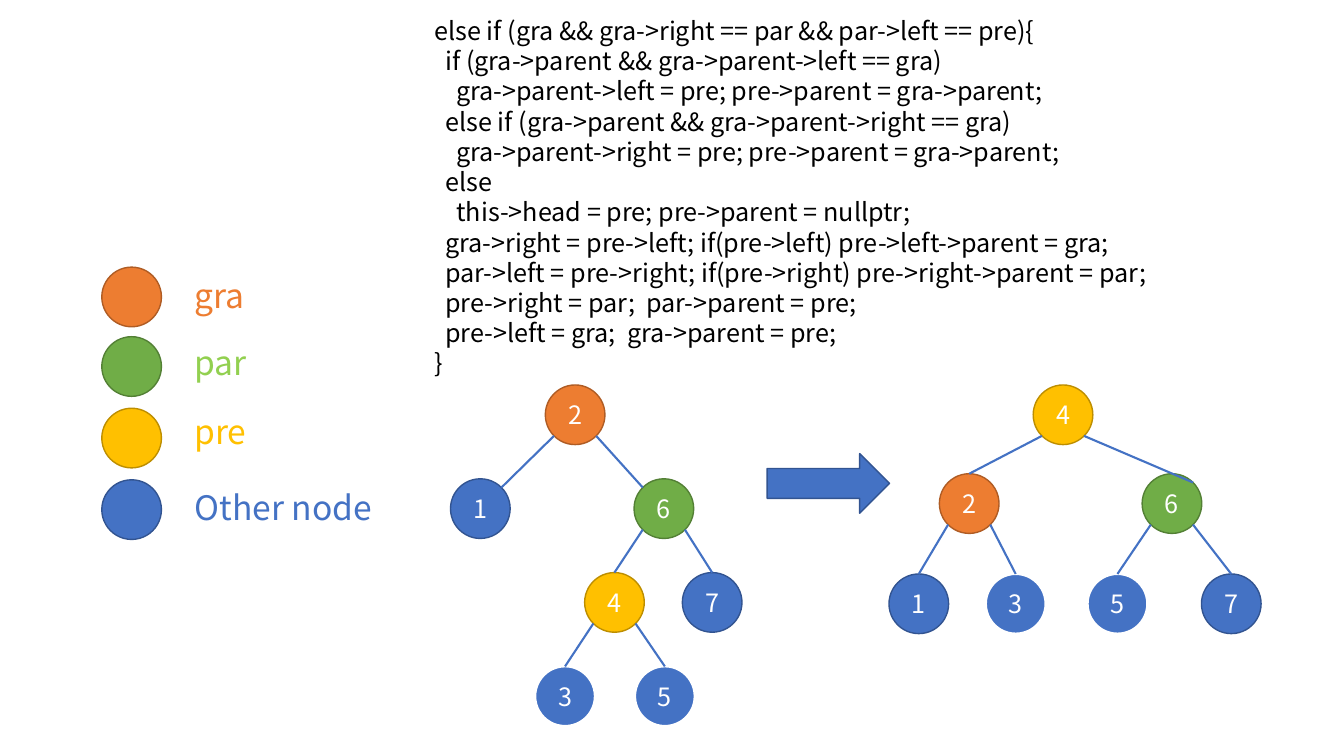
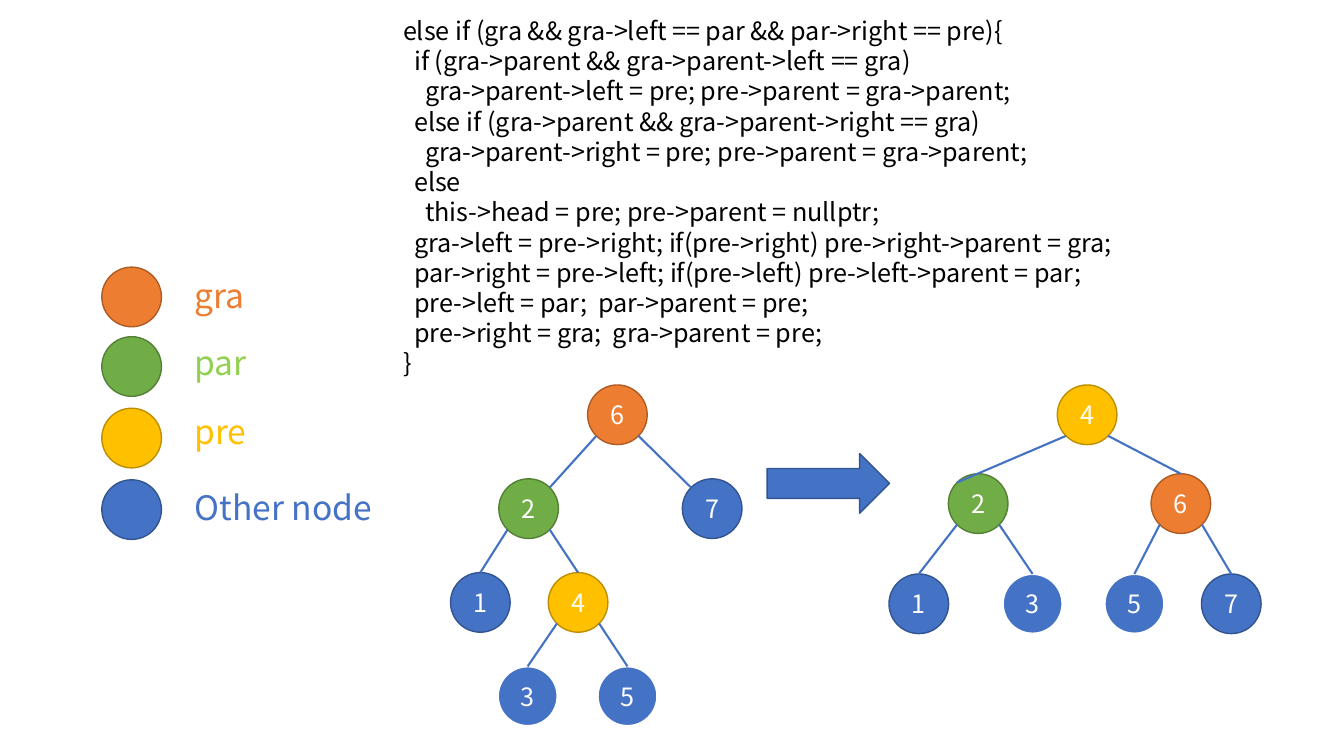
from collections import namedtuple

from lxml.etree import SubElement
from pptx import Presentation
from pptx.dml.color import RGBColor
from pptx.enum.shapes import MSO_CONNECTOR as Connector, MSO_SHAPE as Shape
from pptx.enum.text import MSO_ANCHOR as Anchor, MSO_AUTO_SIZE as AutoSize, PP_ALIGN as Align
from pptx.oxml.ns import qn
from pptx.util import Pt

FONT = "Noto Sans CJK SC"
BLUE, WHITE, BLACK = "4472C4", "FFFFFF", "000000"
NODE = 42.6
CORNER = NODE / 2 * 0.707
INDENT = 7.9
CODE_RIGHT = 928.1

# role: fill, outline, outline width
ROLES = {
    "gra": ("ED7D31", "AF5C24", 1),
    "par": ("70AD47", "538035", 1),
    "pre": ("FFC000", "BD8E00", 1),
    "other": (BLUE, "325491", 1),
    "moved": (BLUE, WHITE, 1.5),
}

# role, label, label colour, node top, label top, label width
LEGEND = [
    ("gra", "gra", "ED7D31", 190.8, 190.8, 95),
    ("par", "par", "92D050", 240.5, 239, 95),
    ("pre", "pre", "FFC000", 291.6, 288, 155.5),
    ("other", "Other node", BLUE, 342.7, 342, 155.5),
]

# depth, line of code
ROTATION_CODE = [
    (0, "else if (gra && gra->{outer} == par && par->{inner} == pre){{"),
    (1, "if (gra->parent && gra->parent->left == gra)"),
    (2, "gra->parent->left = pre; pre->parent = gra->parent;"),
    (1, "else if (gra->parent && gra->parent->right == gra)"),
    (2, "gra->parent->right = pre; pre->parent = gra->parent;"),
    (1, "else"),
    (2, "this->head = pre; pre->parent = nullptr;"),
    (1, "gra->{outer} = pre->{inner}; if(pre->{inner}) pre->{inner}->parent = gra;"),
    (1, "par->{inner} = pre->{outer}; if(pre->{outer}) pre->{outer}->parent = par;"),
    (1, "pre->{outer} = par;  par->parent = pre;"),
    (1, "pre->{inner} = gra;  gra->parent = pre;"),
    (0, "}}"),
]

# join: where the edge from the parent meets the node (near corner, top, far corner)
Node = namedtuple("Node", "key role left top parent join")
BEFORE = [
    Node(2, "gra", 389.5, 275, None, None),
    Node(1, "other", 321.8, 342, 2, "near"),
    Node(6, "par", 452.9, 342, 2, "near"),
    Node(4, "pre", 417.6, 409, 6, "top"),
    Node(7, "other", 487.4, 409, 6, "top"),
    Node(3, "moved", 382.3, 476, 4, "top"),
    Node(5, "moved", 453.6, 476, 4, "top"),
]
AFTER = [
    Node(4, "pre", 738, 275, None, None),
    Node(2, "gra", 671, 338.4, 4, "top"),
    Node(6, "par", 815.8, 338.4, 4, "far"),
    Node(1, "other", 635, 410, 2, "top"),
    Node(3, "moved", 704.2, 410, 2, "top"),
    Node(5, "moved", 776.9, 410, 6, "top"),
    Node(7, "other", 858.2, 410, 6, "top"),
]


def rgb(color):
    """Turn a hex string into a colour."""
    return RGBColor.from_string(color)


def mirror(tree):
    """Swap left and right in a tree with the keys 1 to 7."""
    lefts = [node.left for node in tree]
    span = min(lefts) + max(lefts)
    return [node._replace(key=8 - node.key, left=span - node.left,
                          parent=node.parent and 8 - node.parent)
            for node in tree]


class Deck:
    """Holds the shared style and the current slide."""

    def __init__(self):
        """Start an empty widescreen presentation."""
        self.prs = Presentation()
        self.prs.slide_width, self.prs.slide_height = Pt(960), Pt(540)

    def new_slide(self):
        """Add a blank slide and make it current."""
        self.slide = self.prs.slides.add_slide(self.prs.slide_layouts[6])

    def style_line(self, paragraph, size, color):
        """Set font and line pitch of one paragraph."""
        paragraph.font.name = FONT
        paragraph.font.size = Pt(size)
        paragraph.font.color.rgb = rgb(color)
        paragraph.line_spacing = Pt(size * 1.2)

    def text(self, left, top, width, height, lines, size, color):
        """Add a text box from pairs of depth and wording."""
        box = self.slide.shapes.add_textbox(Pt(left), Pt(top), Pt(width), Pt(height))
        frame = box.text_frame
        frame.word_wrap = True
        frame.auto_size = AutoSize.SHAPE_TO_FIT_TEXT
        frame.margin_top = Pt(3.6 + size * 0.08)
        for number, (depth, wording) in enumerate(lines):
            paragraph = frame.paragraphs[0] if number == 0 else frame.add_paragraph()
            paragraph.text = wording
            self.style_line(paragraph, size, color)
            if depth:
                paragraph._p.get_or_add_pPr().set("marL", str(Pt(depth * INDENT)))

    def shape(self, shapes, preset, left, top, width, height, role):
        """Add a preset shape in the colours of a role."""
        fill, outline, weight = ROLES[role]
        shape = shapes.add_shape(preset, Pt(left), Pt(top), Pt(width), Pt(height))
        shape.shadow.inherit = False
        shape.fill.solid()
        shape.fill.fore_color.rgb = rgb(fill)
        shape.line.color.rgb = rgb(outline)
        shape.line.width = Pt(weight)
        return shape

    def node(self, shapes, left, top, role, key=None):
        """Add a round tree node, with its key if it has one."""
        circle = self.shape(shapes, Shape.OVAL, left, top, NODE, NODE, role)
        if key is not None:
            frame = circle.text_frame
            frame.vertical_anchor = Anchor.MIDDLE
            frame.text = str(key)
            frame.paragraphs[0].alignment = Align.CENTER
            self.style_line(frame.paragraphs[0], 18, WHITE)

    def edge(self, shapes, parent, child):
        """Join a lower corner of the parent to the child."""
        middle = NODE / 2
        side = 1 if child.left > parent.left else -1
        shift = {"near": -side, "top": 0, "far": side}[child.join] * CORNER
        rise = CORNER if shift else middle
        line = shapes.add_connector(
            Connector.STRAIGHT,
            Pt(parent.left + middle + side * CORNER), Pt(parent.top + middle + CORNER),
            Pt(child.left + middle + shift), Pt(child.top + middle - rise))
        line.line.color.rgb = rgb(BLUE)
        line.line.width = Pt(1.5)
        SubElement(line._element.spPr, qn("a:effectLst"))

    def tree(self, nodes):
        """Add a tree as one group."""
        shapes = self.slide.shapes.add_group_shape().shapes
        by_key = {node.key: node for node in nodes}
        for node in nodes:
            self.node(shapes, node.left, node.top, node.role, node.key)
        for node in nodes:
            if node.parent is not None:
                self.edge(shapes, by_key[node.parent], node)

    def legend(self):
        """Add the key to the node colours."""
        for role, label, color, node_top, label_top, width in LEGEND:
            self.node(self.slide.shapes, 72.7, node_top, role)
            self.text(131.8, label_top, width, 36.4, [(0, label)], 24, color)

    def rotation(self, outer, inner, code_left, before, after):
        """Build a slide on one double rotation."""
        self.new_slide()
        self.legend()
        self.tree(before)
        self.shape(self.slide.shapes, Shape.RIGHT_ARROW, 548, 324, 87.4, NODE, "other")
        code = [(depth, line.format(outer=outer, inner=inner))
                for depth, line in ROTATION_CODE]
        self.text(code_left, 5.8, CODE_RIGHT - code_left, 269, code, 18, BLACK)
        self.tree(after)


deck = Deck()
deck.rotation("right", "left", 303.1, BEFORE, AFTER)
deck.rotation("left", "right", 280.8, mirror(BEFORE), mirror(AFTER))
deck.prs.save("out.pptx")
